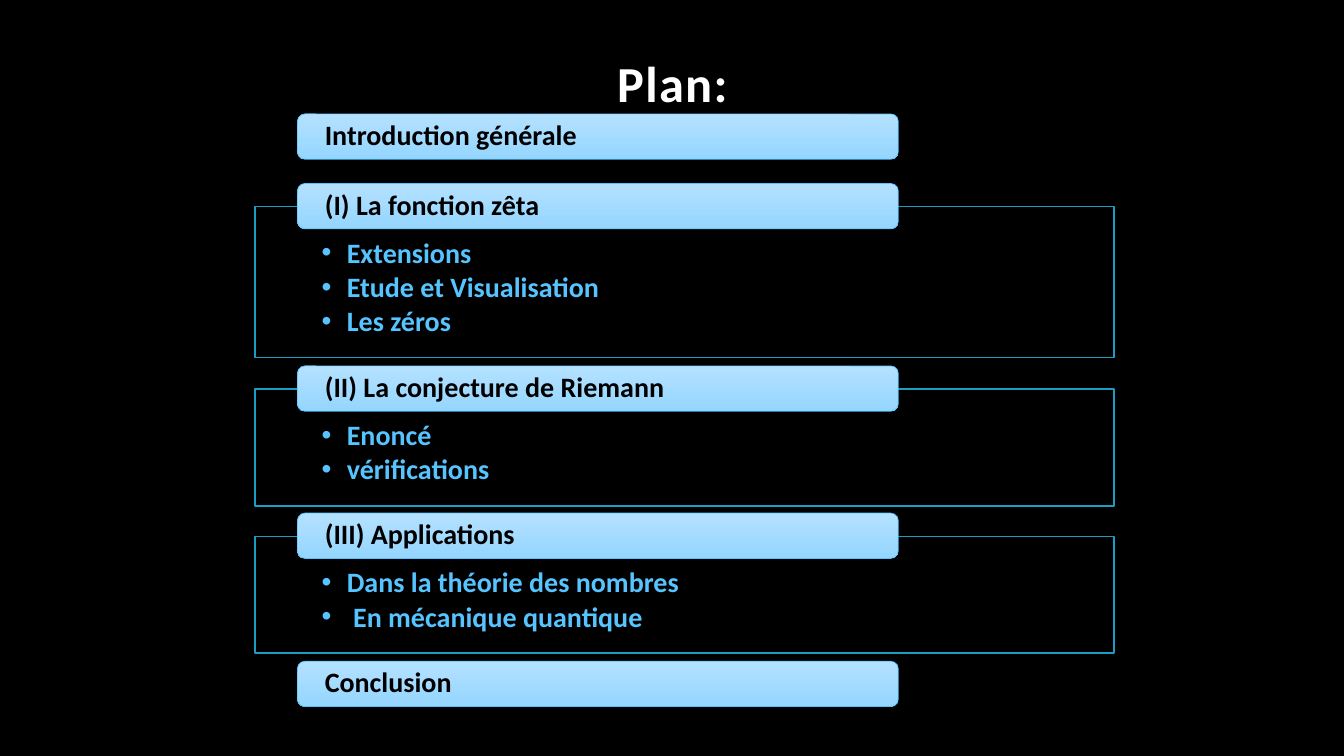
from lxml import etree
from pptx import Presentation
from pptx import util as u
from pptx.dml.color import RGBColor
from pptx.enum import shapes, text
from pptx.oxml.ns import qn

PX = 9144  # EMU per px, 100 px to the inch
FONT = "Calibri"
BAR_LEFT, BAR_WIDTH, BAR_HEIGHT = 295, 596, 45
FRAME_LEFT, FRAME_WIDTH = 253, 852
FRAME_PADDING, LINE_PITCH = 48, 34

# Top of the heading bar, heading, list items
SECTIONS = [
    (113, "Introduction générale", []),
    (182, "(I) La fonction zêta", ["Extensions", "Etude et Visualisation", "Les zéros"]),
    (363, "(II) La conjecture de Riemann", ["Enoncé", "vérifications"]),
    (509, "(III) Applications", ["Dans la théorie des nombres", " En mécanique quantique"]),
    (656, "Conclusion", []),
]


def px(n):
    return u.Emu(n * PX)


def color(hex_string):
    return RGBColor.from_string(hex_string)


def add_run(p, words, size, hex_color):
    r = p.add_run()
    r.text = words
    r.font.name, r.font.size, r.font.bold = FONT, u.Pt(size), True
    r.font.color.rgb = color(hex_color)
    return r


def add_bullet(p):
    pPr = p._p.get_or_add_pPr()
    pPr.set("marL", str(25 * PX))
    pPr.set("indent", str(-25 * PX))
    etree.SubElement(pPr, qn("a:buFont")).set("typeface", "Arial")
    etree.SubElement(pPr, qn("a:buChar")).set("char", "•")


def add_panel(s, kind, box, line_color, line_width, anchor, insets):
    sp = s.shapes.add_shape(kind, *map(px, box))
    sp.shadow.inherit = False
    sp.line.color.rgb = color(line_color)
    sp.line.width = u.Pt(line_width)
    tf = sp.text_frame
    tf.word_wrap, tf.vertical_anchor = True, anchor
    tf.margin_left, tf.margin_top, tf.margin_right, tf.margin_bottom = map(px, insets)
    return sp


def start_paragraph(p):
    p.alignment = text.PP_ALIGN.LEFT
    p.line_spacing = 0.9


def add_title(s, words):
    title = s.shapes.title
    title.left, title.top, title.width, title.height = map(px, (292, 42, 750, 76))
    tf = title.text_frame
    tf.vertical_anchor = text.MSO_ANCHOR.BOTTOM
    p = tf.paragraphs[0]
    p.alignment = text.PP_ALIGN.CENTER
    p.line_spacing = 0.9
    r = add_run(p, words, 36, "FFFFFF")
    r._r.get_or_add_rPr().set("spc", "100")


def add_list_frame(s, top, items):
    height = FRAME_PADDING + LINE_PITCH * len(items)
    sp = add_panel(s, shapes.MSO_SHAPE.RECTANGLE, (FRAME_LEFT, top, FRAME_WIDTH, height),
                   "199DC3", 1, text.MSO_ANCHOR.TOP, (66, 32, 66, 16))
    sp.fill.background()
    tf = sp.text_frame
    for i, item in enumerate(items):
        p = tf.add_paragraph() if i else tf.paragraphs[0]
        start_paragraph(p)
        p.space_after = u.Pt(3)
        add_bullet(p)
        add_run(p, item, 20, "56C5FF")


def add_heading_bar(s, top, heading):
    sp = add_panel(s, shapes.MSO_SHAPE.ROUNDED_RECTANGLE, (BAR_LEFT, top, BAR_WIDTH, BAR_HEIGHT),
                   "56C5FF", 0.5, text.MSO_ANCHOR.MIDDLE, (25, 0, 25, 0))
    sp.fill.gradient()
    sp.fill.gradient_angle = 270
    for stop, position, shade in zip(sp.fill.gradient_stops, (0, 1), ("B4E1FF", "95D6FF")):
        stop.position = position
        stop.color.rgb = color(shade)
    p = sp.text_frame.paragraphs[0]
    start_paragraph(p)
    add_run(p, heading, 20, "000000")


def main():
    prs = Presentation()
    prs.slide_width, prs.slide_height = u.Inches(13.33), u.Inches(7.5)
    s = prs.slides.add_slide(prs.slide_layouts[5])
    s.background.fill.solid()
    s.background.fill.fore_color.rgb = color("000000")
    add_title(s, "Plan:")

    # Each frame starts halfway down its heading bar
    for top, heading, items in SECTIONS:
        if items:
            add_list_frame(s, top + BAR_HEIGHT // 2 + 1, items)
        add_heading_bar(s, top, heading)
    prs.save("out.pptx")


if __name__ == "__main__":
    main()
